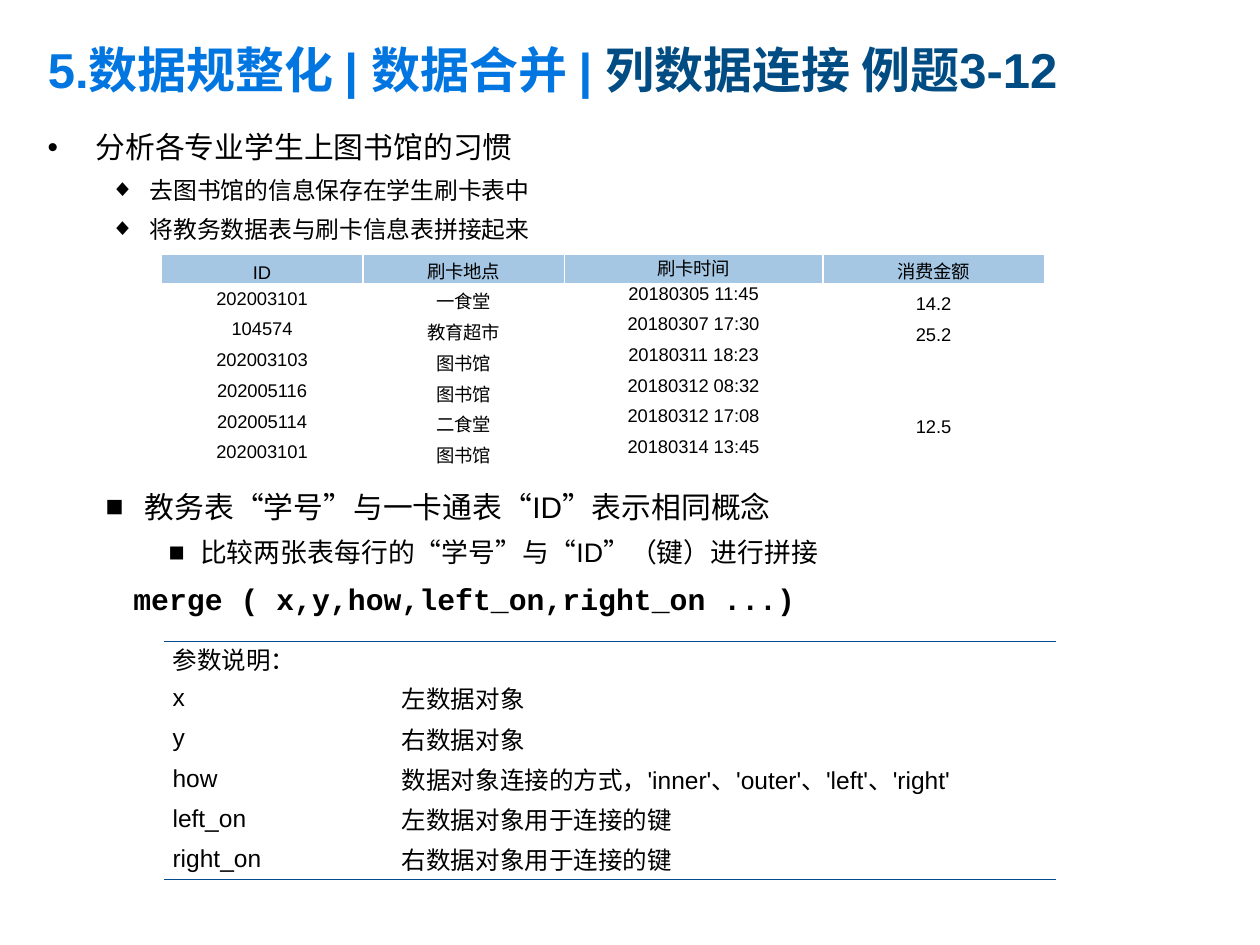
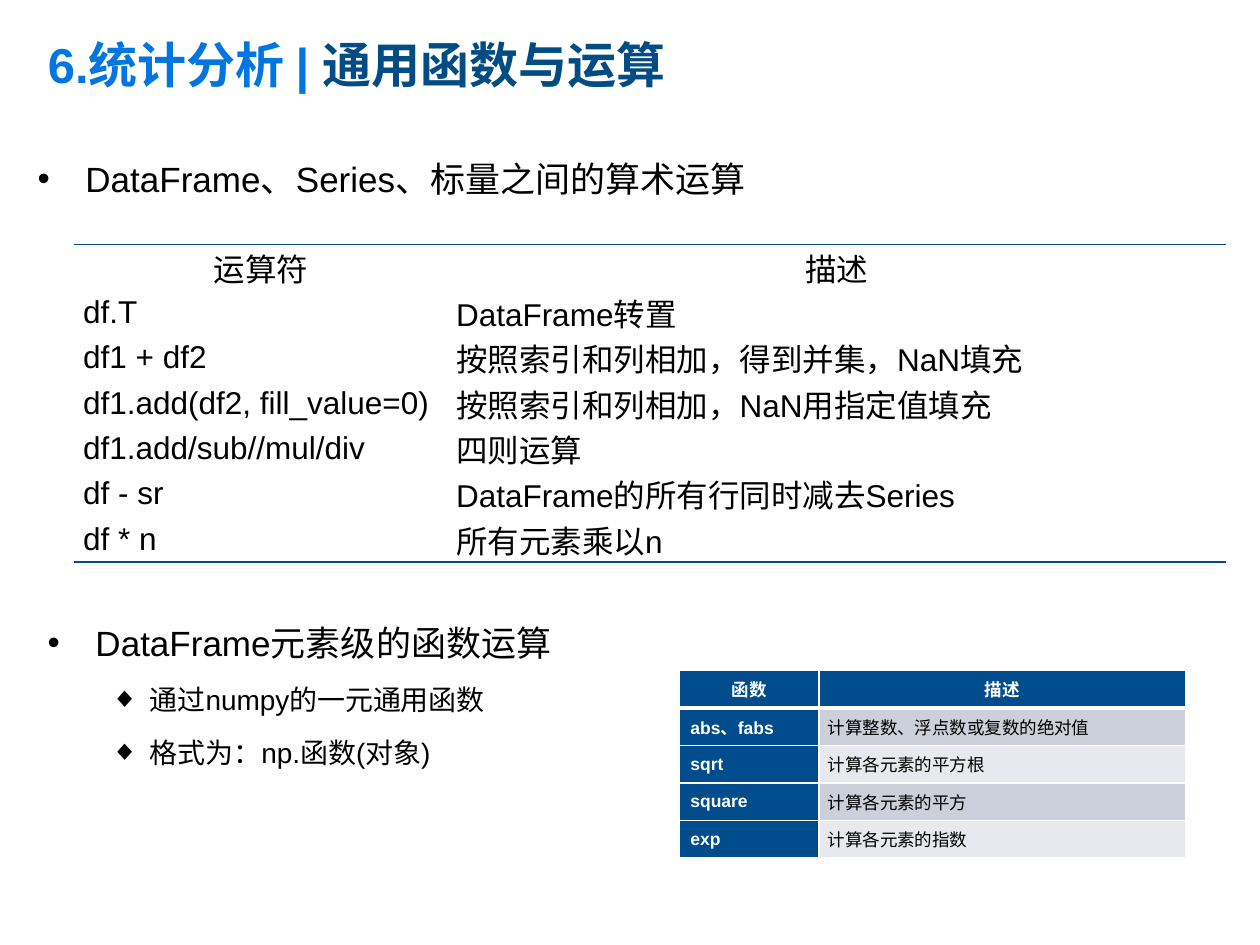
import pptx
import pptx.util
import pptx.dml.color
import pptx.enum.text
import pptx.oxml.ns
import lxml.etree

HUES = {
    "sky": "0276E0", "navy": "014C83", "rule": "014C8D", "head": "A5C7E3",
    "dark": "CCD0DB", "light": "E7E9EE", "ink": "000000", "white": "FFFFFF",
}
SANS, MONO = "Arial", "Courier New"
ALIGN = pptx.enum.text.PP_ALIGN
ANCHOR = pptx.enum.text.MSO_ANCHOR
TOP, MID, LOW = ANCHOR.TOP, ANCHOR.MIDDLE, ANCHOR.BOTTOM
UNIT = 0.1  # grid of 100 columns by 75 rows, one unit each way


def grid(n):
    return pptx.util.Inches(n * UNIT)


def hue(name):
    return pptx.dml.color.RGBColor.from_string(HUES[name])


def node(parent, tag, **attrs):
    return lxml.etree.SubElement(parent, pptx.oxml.ns.qn(tag), attrs)


def put(para, text, size=17, color="ink", bold=False, font=SANS, align=None,
        left=0, hang=0, mark=None, lines=None, before=0):
    """Add text to a paragraph; left and hang are in grid units."""
    props = para._p.get_or_add_pPr()
    if left or hang:
        props.set("marL", str(grid(left)))
        props.set("indent", str(grid(hang)))
    if align is not None:
        para.alignment = align
    if lines:
        para.line_spacing = lines
        para.space_before = pptx.util.Pt(before)
    if mark:
        node(props, "a:buFont", typeface=SANS)
        node(props, "a:buChar", char=mark)
    if not text:
        node(para._p, "a:endParaRPr", lang="zh-CN", sz=str(int(size * 100)))
        return
    run = para.add_run()
    run.text = text
    run.font.size = pptx.util.Pt(size)
    run.font.name = font
    run.font.bold = bold
    run.font.color.rgb = hue(color)
    run._r.get_or_add_rPr().set("lang", "zh-CN")


# Bullet levels
LEVELS = {
    "dot": dict(mark="•", left=3.8, hang=-3.8),
    "gem": dict(mark="◆", left=8.1, hang=-3.1),
    "box": dict(mark="■", left=8.1, hang=-3.1),
    "sub": dict(mark="■", left=12.5, hang=-2.5),
    "code": dict(left=7.2, font=MONO, bold=True),
}


class Deck:
    def __init__(self):
        self.show = pptx.Presentation()
        self.show.slide_width = grid(100)
        self.show.slide_height = grid(75)
        self.slide = None

    def page(self, top, lead, topic):
        """Start a slide with a two-colour title."""
        self.slide = self.show.slides.add_slide(self.show.slide_layouts[5])
        title = self.slide.shapes.title
        title.left, title.top = grid(2.8), grid(top)
        title.width, title.height = grid(85.8), grid(9.8)
        frame = title.text_frame
        frame.auto_size = pptx.enum.text.MSO_AUTO_SIZE.NONE
        frame.word_wrap = True
        frame.vertical_anchor = MID
        para = frame.paragraphs[0]
        for text, color in ((lead, "sky"), (topic, "navy")):
            put(para, text, size=28, color=color, bold=True,
                align=ALIGN.LEFT, lines=1.2)

    def points(self, x, y, w, h, lines, items):
        """Place a list of (level, size, text)."""
        box = self.slide.shapes.add_textbox(grid(x), grid(y), grid(w), grid(h))
        frame = box.text_frame
        frame.word_wrap = True
        for i, (level, size, text) in enumerate(items):
            para = frame.add_paragraph() if i else frame.paragraphs[0]
            put(para, text, size=size, lines=lines,
                before=round(size * 0.2, 1) if i else 0, **LEVELS[level])

    def table(self, x, y, cols, rows, data, look):
        """Place a table; look(row, col) gives anchor, fill, edges, format."""
        shape = self.slide.shapes.add_table(
            len(data), len(cols), grid(x), grid(y), grid(sum(cols)), grid(sum(rows)))
        table = shape.table
        table.first_row = table.horz_banding = False
        for col, wide in zip(table.columns, cols):
            col.width = grid(wide)
        for row, high in zip(table.rows, rows):
            row.height = grid(high)
        for r, line in enumerate(data):
            for c, text in enumerate(line):
                anchor, fill, edges, style = look(r, c)
                cell = table.cell(r, c)
                cell.margin_left = cell.margin_right = grid(0.7)
                cell.margin_top = cell.margin_bottom = 0
                cell.vertical_anchor = anchor
                put(cell.text_frame.paragraphs[0], text, **style)
                if fill:
                    cell.fill.solid()
                    cell.fill.fore_color.rgb = hue(fill)
                else:
                    cell.fill.background()
                self.edge(cell, edges)

    def edge(self, cell, edges):
        """Draw cell borders from a dict of side: (colour, points)."""
        props = cell._tc.get_or_add_tcPr()
        for i, side in enumerate("LRTB"):
            line = node(props, "a:ln" + side)
            if side in edges:
                color, wide = edges[side]
                line.set("w", str(pptx.util.Pt(wide)))
                node(node(line, "a:solidFill"), "a:srgbClr", val=HUES[color])
            else:
                node(line, "a:noFill")
            props.insert(i, line)


def ruled(count):
    """Borders of an open table: a rule above the first row, below the last."""
    return lambda r: ({"T": ("rule", 1)} if r == 0 else
                      {"B": ("rule", 1)} if r == count - 1 else {})


def boxed(bottom=1):
    return {**{side: ("white", 1) for side in "LRT"}, "B": ("white", bottom)}


SWIPES = [
    ("ID", "刷卡地点", "刷卡时间", "消费金额"),
    ("202003101", "一食堂", "20180305 11:45", "14.2"),
    ("104574", "教育超市", "20180307 17:30", "25.2"),
    ("202003103", "图书馆", "20180311 18:23", ""),
    ("202005116", "图书馆", "20180312 08:32", ""),
    ("202005114", "二食堂", "20180312 17:08", "12.5"),
    ("202003101", "图书馆", "20180314 13:45", ""),
]
PARAMS = [
    ("参数说明：", ""),
    ("x", "左数据对象"),
    ("y", "右数据对象"),
    ("how", "数据对象连接的方式，'inner'、'outer'、'left'、'right'"),
    ("left_on", "左数据对象用于连接的键"),
    ("right_on", "右数据对象用于连接的键"),
]
MATHS = [
    ("运算符", "描述"),
    ("df.T", "DataFrame转置"),
    ("df1 + df2", "按照索引和列相加，得到并集，NaN填充"),
    ("df1.add(df2, fill_value=0)", "按照索引和列相加，NaN用指定值填充"),
    ("df1.add/sub//mul/div", "四则运算"),
    ("df - sr", "DataFrame的所有行同时减去Series"),
    ("df * n", "所有元素乘以n"),
]
FUNCS = [
    ("函数", "描述"),
    ("abs、fabs", "计算整数、浮点数或复数的绝对值"),
    ("sqrt", "计算各元素的平方根"),
    ("square", "计算各元素的平方"),
    ("exp", "计算各元素的指数"),
]


def swipe(r, c):
    anchor = (MID if r else LOW, LOW, TOP, LOW)[c]
    return (anchor, None if r else "head", boxed(),
            dict(size=10.5, align=ALIGN.CENTER))


def param(r, c):
    return (MID if r else TOP, None, ruled(len(PARAMS))(r),
            dict(size=14, align=ALIGN.JUSTIFY))


def maths(r, c):
    return (MID, None, ruled(len(MATHS))(r),
            dict(size=18, align=ALIGN.LEFT if r else ALIGN.CENTER))


def func(r, c):
    key = r == 0 or c == 0
    fill = "rule" if key else "dark" if r % 2 else "light"
    style = dict(size=10, bold=key, color="white" if key else "ink",
                 align=ALIGN.LEFT if r else ALIGN.CENTER)
    if r and c == 0:
        style["hang"] = 0.2
    return MID, fill, boxed(1 if r else 3), style


def main():
    deck = Deck()

    # Joining columns
    deck.page(0.1, "5.数据规整化 | 数据合并 | ", "列数据连接 例题3-12")
    deck.points(2.8, 9.2, 95.3, 11, 1.2, [
        ("dot", 17, "分析各专业学生上图书馆的习惯"),
        ("gem", 13.6, "去图书馆的信息保存在学生刷卡表中"),
        ("gem", 13.6, "将教务数据表与刷卡信息表拼接起来"),
    ])
    deck.table(13, 50.9, (18.2, 52.6), [2.9] + [3.2] * 5, PARAMS, param)
    deck.points(2.4, 37.7, 95.3, 12.2, 1.2, [
        ("box", 17, "教务表“学号”与一卡通表“ID”表示相同概念"),
        ("sub", 15.3, "比较两张表每行的“学号”与“ID”（键）进行拼接"),
        ("code", 17, "merge ( x,y,how,left_on,right_on ...)"),
    ])
    deck.table(12.8, 20.2, (16, 16, 20.5, 17.6), [2.3] + [2.44] * 6, SWIPES, swipe)

    # General functions and operators
    deck.page(-0.3, "6.统计分析 | ", "通用函数与运算")
    deck.points(2, 10.7, 95.3, 55.1, 1.4, [
        ("dot", 20, "DataFrame、Series、标量之间的算术运算"),
    ])
    deck.table(5.9, 19.4, (29.6, 61.8), [3.6] * 7, MATHS, maths)
    deck.points(2.8, 47.5, 93.7, 16.8, 1.4, [
        ("dot", 20, "DataFrame元素级的函数运算"),
        ("gem", 16, "通过numpy的一元通用函数"),
        ("gem", 16, "格式为：np.函数(对象)"),
    ])
    deck.table(53.9, 53.2, (11.1, 29.1), [2.98] * 5, FUNCS, func)

    deck.show.save("out.pptx")


if __name__ == "__main__":
    main()
